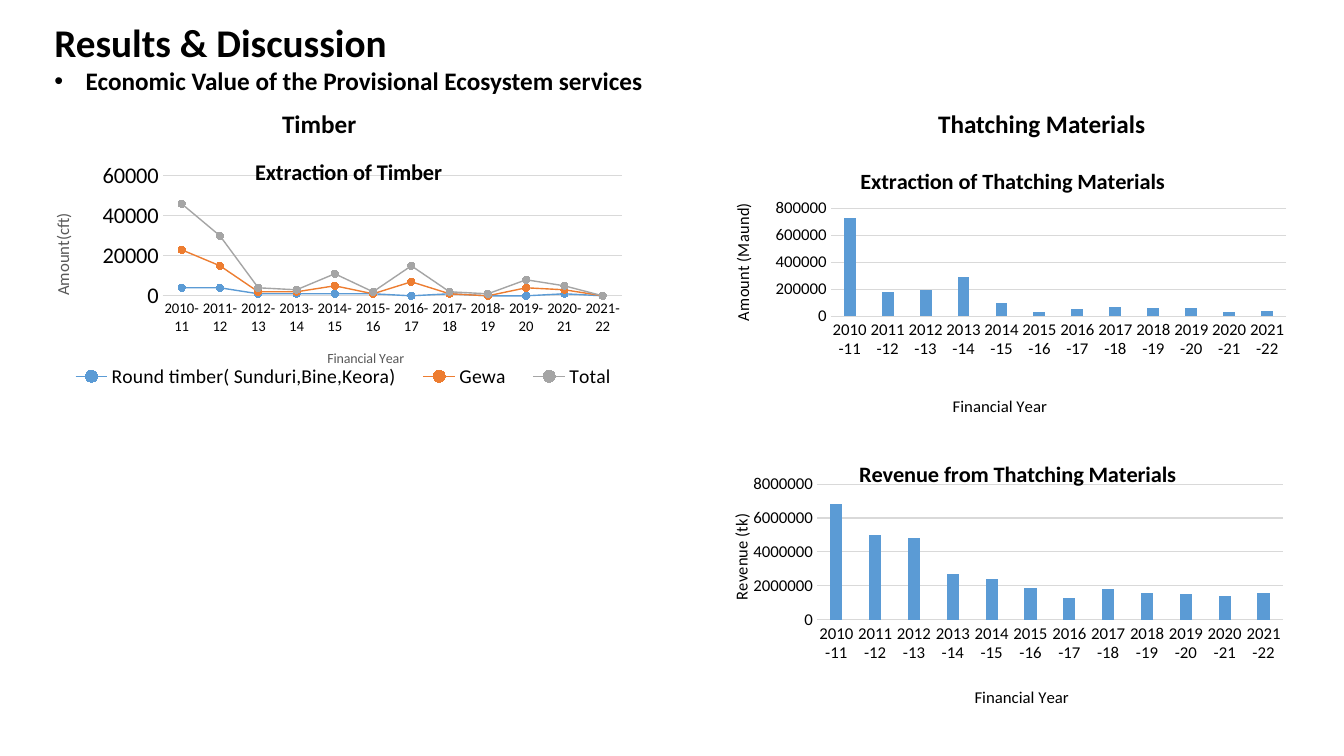
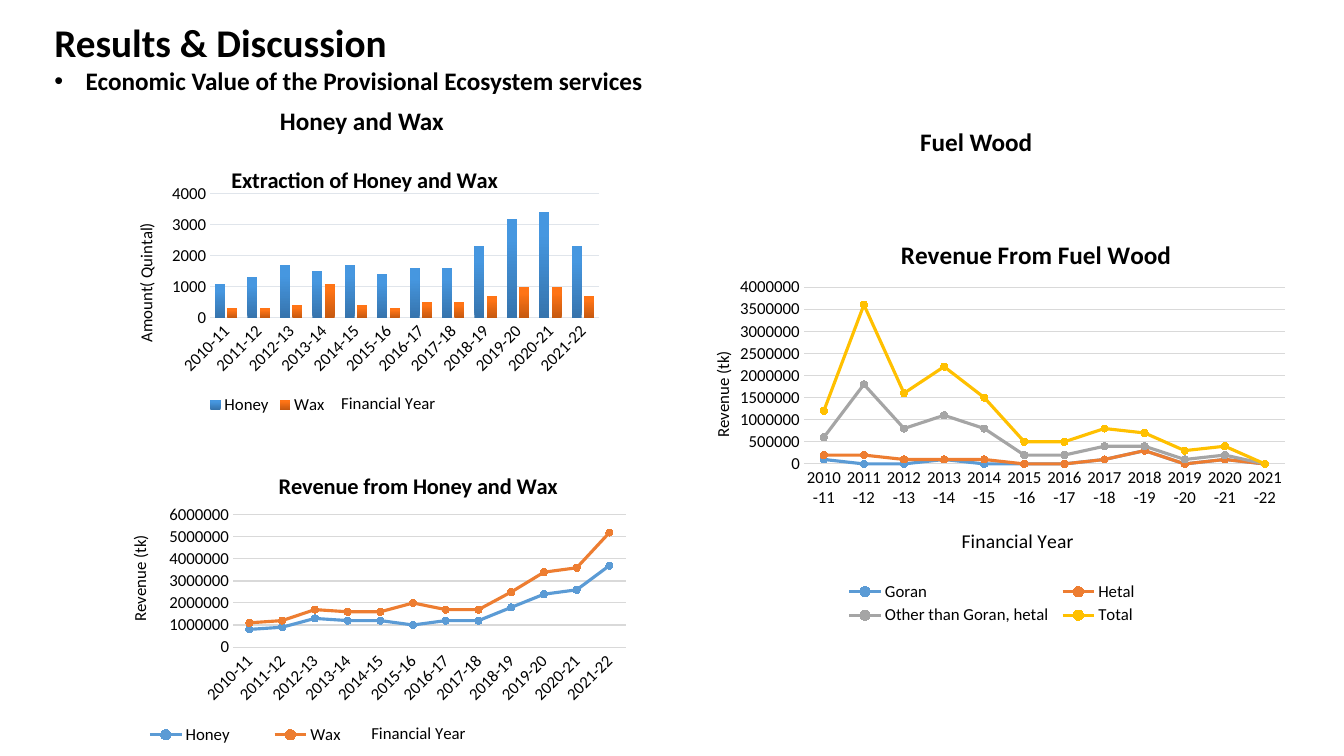
import pptx
import pptx.util
import pptx.dml.color
import pptx.chart.data
import pptx.enum.chart
import pptx.oxml
import pptx.oxml.ns
import lxml.etree

Pt = pptx.util.Pt
RGB = pptx.dml.color.RGBColor
Kind = pptx.enum.chart.XL_CHART_TYPE
qn = pptx.oxml.ns.qn

FONT = "Calibri"
BLACK = RGB(0, 0, 0)
WHITE = RGB(0xFF, 0xFF, 0xFF)
GRAY = RGB(0x59, 0x59, 0x59)
RULE = RGB(0xD9, 0xD9, 0xD9)
PALE = RGB(0xE0, 0xE5, 0xEB)
BLUE = RGB(0x5B, 0x9B, 0xD5)
ORANGE = RGB(0xED, 0x7D, 0x31)
SILVER = RGB(0xA5, 0xA5, 0xA5)
GOLD = RGB(0xFF, 0xC0, 0x00)
SHADES = [BLUE, ORANGE, SILVER, GOLD]
FADES = [
    (RGB(0x36, 0x74, 0xAD), RGB(0x46, 0x97, 0xE0)),
    (RGB(0xC6, 0x59, 0x10), RGB(0xFF, 0x74, 0x16)),
]
YEARS = [f"{year}-{year % 100 + 1}" for year in range(2010, 2022)]

WIDE = pptx.util.Inches(13.33)
HIGH = pptx.util.Inches(7.5)
COLS, ROWS = 32, 18


def place(box):
    left, top, width, height = box
    return (
        int(left * WIDE / COLS),
        int(top * HIGH / ROWS),
        int(width * WIDE / COLS),
        int(height * HIGH / ROWS),
    )


def style(font, size, color=BLACK, bold=False):
    font.name = FONT
    font.size = Pt(size)
    font.bold = bold
    font.color.rgb = color


def write(par, text, size, color=BLACK, bold=False):
    run = par.add_run()
    run.text = text
    style(run.font, size, color, bold)


def frame(slide, box):
    body = slide.shapes.add_textbox(*place(box)).text_frame
    body.word_wrap = True
    return body


def label(slide, box, text):
    write(frame(slide, box).paragraphs[0], text, 18, bold=True)


def header(slide, box):
    body = frame(slide, box)
    write(body.paragraphs[0], "Results & Discussion", 28, bold=True)
    par = body.add_paragraph()
    props = par._p.get_or_add_pPr()
    indent = pptx.util.Inches(0.31)
    props.set("marL", str(indent))
    props.set("indent", str(-indent))
    lxml.etree.SubElement(props, qn("a:buFont")).set("typeface", "Arial")
    lxml.etree.SubElement(props, qn("a:buChar")).set("char", "•")
    write(par, "Economic Value of the Provisional Ecosystem services", 18, bold=True)


def pin(node, index, spot, inner=False):
    layout = node.find(qn("c:layout"))
    if layout is None:
        layout = pptx.oxml.parse_xml(f'<c:layout {pptx.oxml.ns.nsdecls("c")}/>')
        node.insert(index, layout)
    manual = lxml.etree.SubElement(layout, qn("c:manualLayout"))
    parts = [("layoutTarget", "inner")] if inner else []
    parts += [("xMode", "edge"), ("yMode", "edge")]
    parts += zip("xywh", spot)
    for name, value in parts:
        lxml.etree.SubElement(manual, qn(f"c:{name}")).set("val", str(value))


def name_it(title, text, spot, size, color=BLACK, bold=False, turn=0):
    body = title.text_frame
    write(body.paragraphs[0], text, size, color, bold)
    props = body._txBody.bodyPr
    props.set("rot", str(turn * 60000))
    props.set("vert", "horz")
    pin(title._element, 1, spot)


def axis_on(axis, title, spot, size, tint, ticks, turn=0):
    axis.major_tick_mark = pptx.enum.chart.XL_TICK_MARK.NONE
    axis.minor_tick_mark = pptx.enum.chart.XL_TICK_MARK.NONE
    style(axis.tick_labels.font, ticks)
    name_it(axis.axis_title, title, spot, size, tint, turn=turn)


def paint(plot, bars, weight, fade):
    for index, series in enumerate(plot.series):
        color = SHADES[index]
        if bars:
            fill = series.format.fill
            if fade:
                fill.gradient()
                fill.gradient_angle = 90
                for stop, tone, point in zip(fill.gradient_stops, FADES[index], (0, 0.8)):
                    stop.color.rgb = tone
                    stop.position = point
            else:
                fill.solid()
                fill.fore_color.rgb = color
            continue
        series.smooth = False
        series.format.line.color.rgb = color
        series.format.line.width = Pt(weight)
        mark = series.marker
        mark.style = pptx.enum.chart.XL_MARKER_STYLE.CIRCLE
        mark.size = 5
        mark.format.fill.solid()
        mark.format.fill.fore_color.rgb = color
        mark.format.line.color.rgb = color


def back(chart):
    space = chart._chartSpace
    shape = pptx.oxml.parse_xml(
        f'<c:spPr {pptx.oxml.ns.nsdecls("c", "a")}><a:solidFill>'
        f'<a:srgbClr val="{WHITE}"/></a:solidFill><a:ln><a:noFill/></a:ln></c:spPr>'
    )
    space.find(qn("c:txPr")).addprevious(shape)


def graph(slide, box, title, unit, scale, data, spots, bars=False, key=None,
          size=16, xsize=12, ticks=(12, 12), tint=BLACK, rule=RULE,
          weights=(2.25,), fade=False, slant=False, gap=219, lap=-27, solid=False):
    feed = pptx.chart.data.CategoryChartData()
    feed.categories = YEARS
    for name, unit_size, values in data:
        feed.add_series(name, [value * unit_size for value in values])
    kind = Kind.COLUMN_CLUSTERED if bars else Kind.LINE_MARKERS_STACKED
    chart = slide.shapes.add_chart(kind, *place(box), feed).chart
    style(chart.font, 10)
    area, head, foot, side = spots
    chart.has_title = True
    name_it(chart.chart_title, title, head, size, bold=True)
    chart.chart_title.include_in_layout = False
    pin(chart._chartSpace.chart.plotArea, 0, area, inner=True)

    cats, vals = chart.category_axis, chart.value_axis
    axis_on(cats, "Financial Year", foot, xsize, tint, ticks[0])
    axis_on(vals, unit, side, 12, tint, ticks[1], turn=-90)
    cats.format.line.color.rgb = rule
    cats.format.line.width = Pt(0.75)
    if slant:
        cats._element.find(qn("c:txPr")).find(qn("a:bodyPr")).set("rot", "-2700000")
    vals.format.line.fill.background()
    vals.minimum_scale = 0
    vals.maximum_scale, vals.major_unit = scale
    vals.has_major_gridlines = True
    vals.major_gridlines.format.line.color.rgb = rule
    vals.major_gridlines.format.line.width = Pt(0.75)
    vals.tick_labels.number_format = "General"
    vals.tick_labels.number_format_is_linked = False

    plot = chart.plots[0]
    plot.vary_by_categories = False
    if bars:
        plot.gap_width = gap
        plot.overlap = lap
    paint(plot, bars, weights[0], fade)
    chart.has_legend = key is not None
    if key:
        legend = chart.legend
        legend.position = pptx.enum.chart.XL_LEGEND_POSITION.BOTTOM
        legend.include_in_layout = False
        style(legend.font, 14 if solid else 12)
        pin(legend._element, 1, key)
    if solid:
        back(chart)


def timber(slide):
    label(slide, (6.48, 2.47, 3.58, 0.96), "Timber")
    graph(slide, (0.86, 3.19, 14.62, 6.24), "Extraction of Timber", "Amount(cft)",
          (60000, 20000),
          [("Round timber( Sunduri,Bine,Keora)", 1000, [4, 4, 1, 1, 1, 1, 0, 1, 0, 0, 1, 0]),
           ("Gewa", 1000, [19, 11, 1, 1, 4, 0, 7, 0, 0, 4, 2, 0]),
           ("Total", 1000, [23, 15, 2, 1, 6, 1, 8, 1, 1, 4, 2, 0])],
          [(0.206, 0.16, 0.748, 0.458), (0.35, 0.07), (0.47, 0.81), (0.02, 0.29)],
          key=(0.03, 0.87, 0.94, 0.11), xsize=10, ticks=(10.5, 16), tint=GRAY,
          weights=(1,), solid=True)


def thatch(slide):
    label(slide, (22.1, 2.45, 5.78, 0.96), "Thatching Materials")
    graph(slide, (17.06, 3.43, 13.87, 6.6), "Extraction of Thatching Materials",
          "Amount (Maund)", (800000, 200000),
          [("Series 1", 10000, [73, 18, 19, 29, 10, 3, 5, 7, 6, 6, 3, 4])],
          [(0.196, 0.238, 0.782, 0.401), (0.24, 0.07), (0.4, 0.92), (0.02, 0.22)],
          bars=True, solid=True)
    graph(slide, (17.02, 10.39, 14.21, 6.58), "Revenue from Thatching Materials",
          "Revenue (tk)", (8000000, 2000000),
          [("Series 1", 100000, [68, 50, 48, 27, 24, 19, 13, 18, 16, 15, 14, 16])],
          [(0.171, 0.176, 0.781, 0.501), (0.235, 0.07), (0.43, 0.91), (0.02, 0.28)],
          bars=True, solid=True)


def honey(slide):
    label(slide, (6.43, 2.4, 8.11, 0.96), "Honey and Wax")
    graph(slide, (2.59, 3.36, 12, 6.7), "Extraction of Honey and Wax",
          "Amount( Quintal)", (4000, 1000),
          [("Honey", 100, [11, 13, 17, 15, 17, 14, 16, 16, 23, 32, 34, 23]),
           ("Wax", 100, [3, 3, 4, 11, 4, 3, 5, 5, 7, 10, 10, 7])],
          [(0.201, 0.187, 0.772, 0.441), (0.235, 0.07), (0.455, 0.88), (0.045, 0.28)],
          bars=True, key=(0.19, 0.91, 0.25, 0.08), rule=PALE, fade=True,
          slant=True, gap=100, lap=-24)
    graph(slide, (1.66, 10.68, 13.94, 7.22), "Revenue from Honey and Wax",
          "Revenue (tk)", (6000000, 1000000),
          [("Honey", 100000, [8, 9, 13, 12, 12, 10, 12, 12, 18, 24, 26, 37]),
           ("Wax", 100000, [3, 3, 4, 4, 4, 10, 5, 5, 7, 10, 10, 15])],
          [(0.279, 0.219, 0.671, 0.436), (0.35, 0.06), (0.51, 0.89), (0.095, 0.275)],
          key=(0.07, 0.91, 0.46, 0.08), slant=True)


def fuel(slide):
    label(slide, (21.67, 2.9, 8.11, 0.96), "Fuel Wood")
    graph(slide, (16.2, 4.99, 14.69, 9.98), "Revenue From Fuel Wood", "Revenue (tk)",
          (4000000, 500000),
          [("Goran", 100000, [1, 0, 0, 1, 0, 0, 0, 1, 3, 0, 1, 0]),
           ("Hetal", 100000, [1, 2, 1, 0, 1, 0, 0, 0, 0, 0, 0, 0]),
           ("Other than Goran, hetal", 100000, [4, 16, 7, 10, 7, 2, 2, 3, 1, 1, 1, 0]),
           ("Total", 100000, [6, 18, 8, 11, 7, 3, 3, 4, 3, 2, 2, 0])],
          [(0.2, 0.185, 0.78, 0.422), (0.35, 0.055), (0.45, 0.75), (0.045, 0.33)],
          key=(0.26, 0.88, 0.49, 0.12), size=18, xsize=14)


def main():
    deck = pptx.Presentation()
    deck.slide_width, deck.slide_height = WIDE, HIGH
    for parts in ((timber, thatch), (honey, fuel)):
        slide = deck.slides.add_slide(deck.slide_layouts[6])
        header(slide, (1.06, 0.32, 15.98, 2.11))
        for part in parts:
            part(slide)
    deck.save("out.pptx")


if __name__ == "__main__":
    main()
